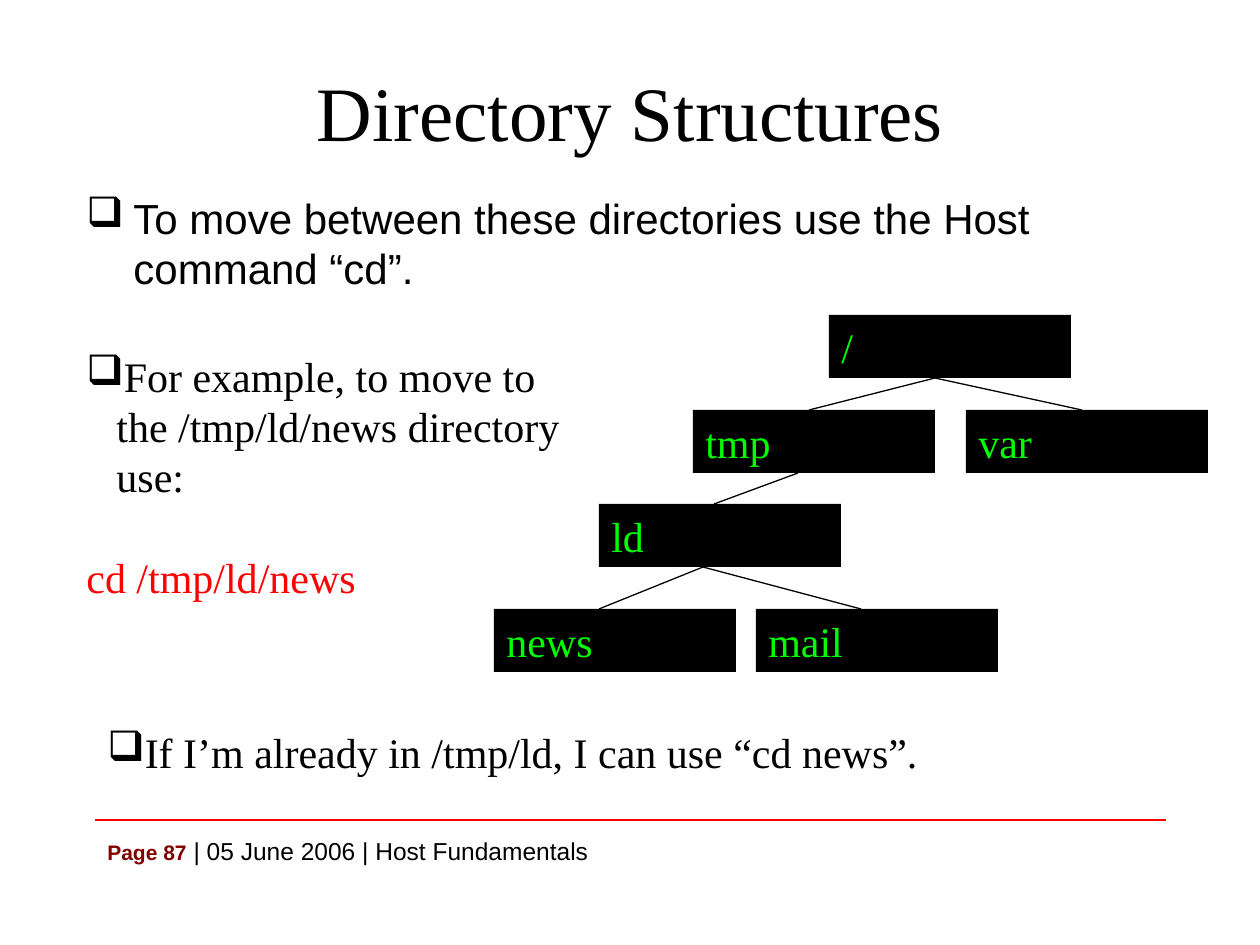
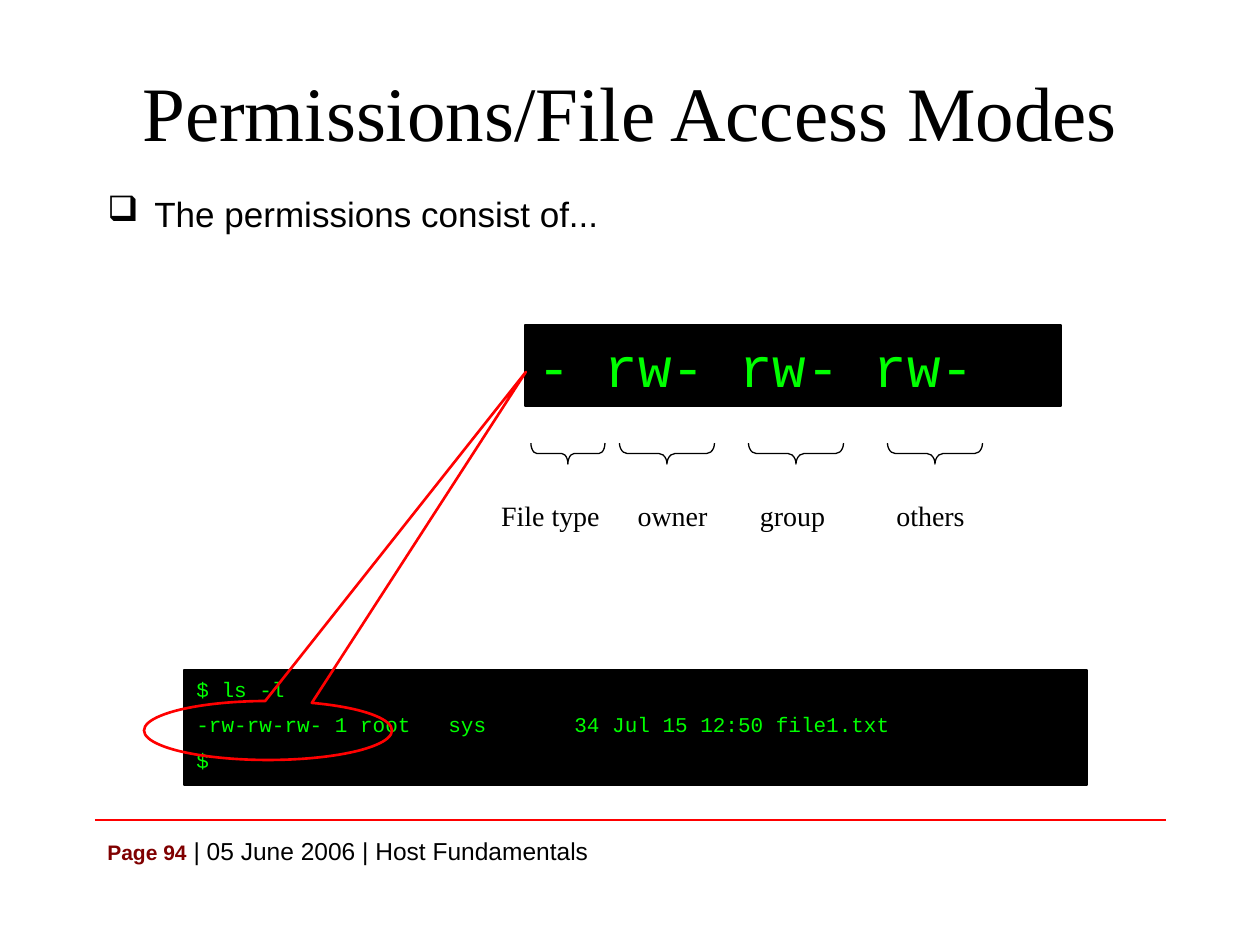
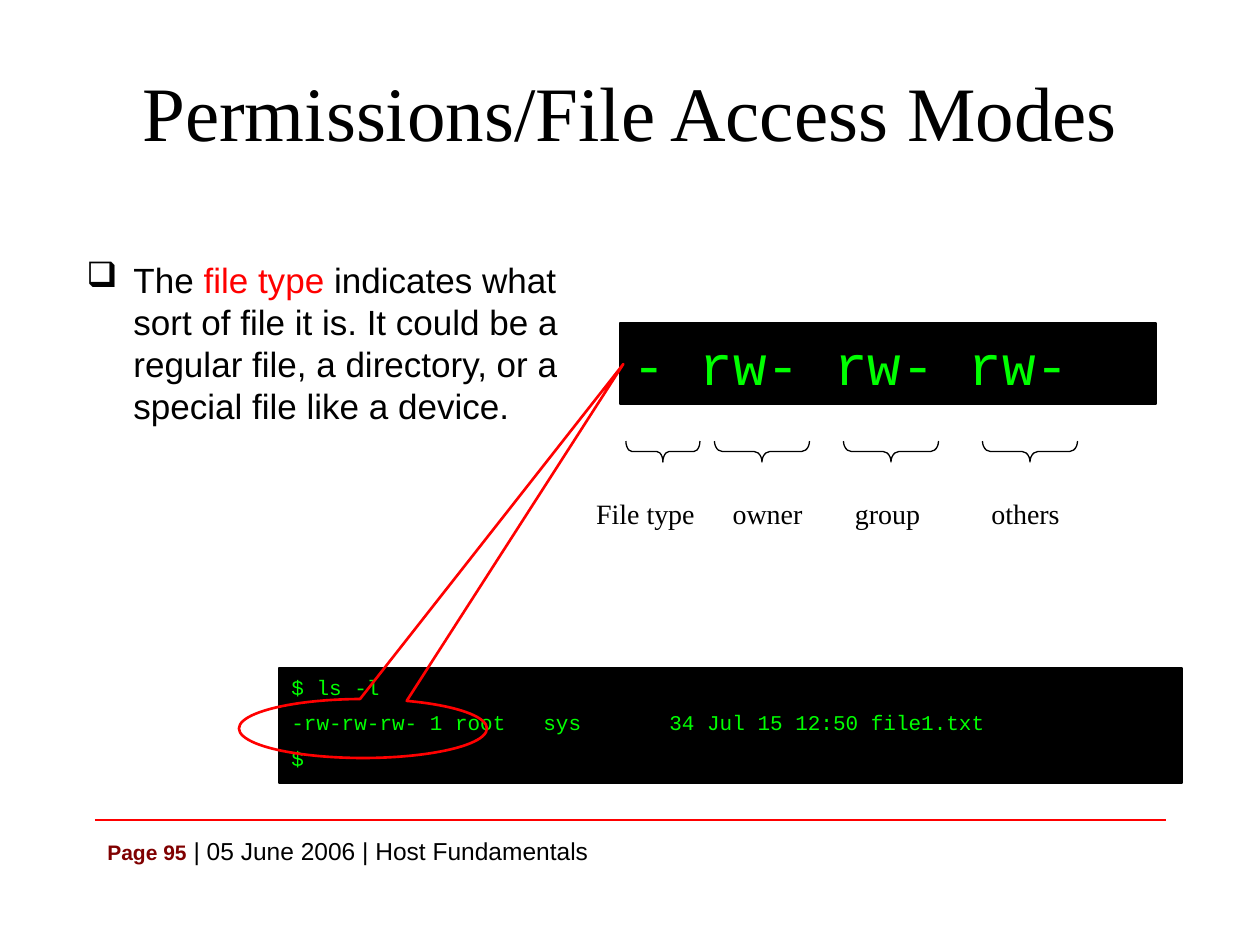
from lxml.etree import SubElement
from pptx import Presentation
from pptx.dml.color import RGBColor
from pptx.enum.shapes import MSO_CONNECTOR, MSO_SHAPE
from pptx.enum.text import MSO_ANCHOR, MSO_AUTO_SIZE, PP_ALIGN
from pptx.oxml import parse_xml
from pptx.oxml.ns import nsdecls, qn
from pptx.util import Emu, Pt

EMU_PER_PX = 914400 / 126
BLACK, RED, MAROON, GREEN = "000000", "FF0000", "800000", "00FF00"
SANS, SERIF, MONO = "Arial", "Times New Roman", "Courier New"
LINE_PITCH = 1.2
TAB_WIDTH = 126

NODE_SIZE = (242, 63)
NODES = [
    ("/", 335, 0),
    ("tmp", 199, 95),
    ("var", 472, 95),
    ("ld", 105, 189),
    ("news", 0, 294),
    ("mail", 262, 294),
]
BRANCHES = [
    (441, 63, 315, 95),
    (441, 63, 588, 95),
    (304, 158, 220, 189),
    (209, 252, 105, 294),
    (209, 252, 367, 294),
]
FIELDS = [
    ("File type", 424, 74, 0.29, 337, 139),
    ("owner", 523, 95, 0.375, 476, 105),
    ("group", 652, 95, 0.375, 596, 105),
    ("others", 791, 95, 0.375, 734, 105),
]
LISTING = ["$ ls -l", "-rw-rw-rw- 1 root\tsys\t34 Jul 15 12:50 file1.txt", "$"]


def px(length):
    """Turn a length in px into EMU."""
    return Emu(round(length * EMU_PER_PX))


def color(value):
    """Turn a hex string into a colour."""
    return RGBColor.from_string(value)


def style_font(font, name, size, hex_color):
    """Set the typeface, size and colour of a font."""
    font.name = name
    font.size = Pt(size)
    font.color.rgb = color(hex_color)


def space_before_percent(paragraph, percent):
    """Set the space before a paragraph as a share of its line."""
    spacing = parse_xml(
        f'<a:spcBef {nsdecls("a")}><a:spcPct val="{percent * 1000}"/></a:spcBef>'
    )
    paragraph._p.get_or_add_pPr().insert(0, spacing)


def add_tab_stops(paragraph, count):
    """Add evenly spaced left tab stops to a paragraph."""
    tab_list = SubElement(paragraph._p.get_or_add_pPr(), qn("a:tabLst"))
    for number in range(1, count + 1):
        stop = SubElement(tab_list, qn("a:tab"))
        stop.set("pos", str(px(number * TAB_WIDTH)))
        stop.set("algn", "l")


def add_bullet(paragraph, hanging):
    """Give a paragraph a box bullet with a hanging indent."""
    properties = paragraph._p.get_or_add_pPr()
    properties.set("marL", str(px(hanging)))
    properties.set("indent", str(-px(hanging)))
    SubElement(properties, qn("a:buChar")).set("char", "❑")


def add_text_box(slide, left, top, width, height):
    """Add a wrapping text box and return its text frame."""
    text_frame = slide.shapes.add_textbox(
        px(left), px(top), px(width), px(height)
    ).text_frame
    text_frame.word_wrap = True
    return text_frame


def add_plain_shape(slide, kind, left, top, width, height, line=None, weight=0.75):
    """Add an unfilled preset shape without a shadow."""
    shape = slide.shapes.add_shape(kind, px(left), px(top), px(width), px(height))
    shape.shadow.inherit = False
    shape.fill.background()
    if line:
        shape.line.color.rgb = color(line)
        shape.line.width = Pt(weight)
    else:
        shape.line.fill.background()
    return shape


def add_line(slide, start_x, start_y, end_x, end_y, hex_color, weight):
    """Add a straight connector without a shadow."""
    connector = slide.shapes.add_connector(
        MSO_CONNECTOR.STRAIGHT, px(start_x), px(start_y), px(end_x), px(end_y)
    )
    connector.line.color.rgb = color(hex_color)
    connector.line.width = Pt(weight)
    SubElement(connector._element.spPr, qn("a:effectLst"))


def fill_text(text_frame, lines, name, size, hex_color, alignment):
    """Write evenly spaced lines into a frame that grows with its text."""
    text_frame.word_wrap = True
    text_frame.vertical_anchor = MSO_ANCHOR.TOP
    text_frame.auto_size = MSO_AUTO_SIZE.SHAPE_TO_FIT_TEXT
    for index, line in enumerate(lines):
        paragraph = text_frame.add_paragraph() if index else text_frame.paragraphs[0]
        space_before_percent(paragraph, 50)
        if "\t" in line:
            add_tab_stops(paragraph, 3)
        paragraph.alignment = alignment
        paragraph.add_run().text = line
        style_font(paragraph.font, name, size, hex_color)


def add_screen(slide, box, lines, name, size, line=None):
    """Add a black panel with green text."""
    panel = add_plain_shape(slide, MSO_SHAPE.RECTANGLE, *box, line=line)
    panel.fill.solid()
    panel.fill.fore_color.rgb = color(BLACK)
    fill_text(panel.text_frame, lines, name, size, GREEN, PP_ALIGN.LEFT)


def add_bullet_text(slide, box, runs, name, size, hanging, percent=0):
    """Add a bulleted paragraph made of text and colour pairs."""
    text_frame = add_text_box(slide, *box)
    paragraph = text_frame.paragraphs[0]
    if percent:
        space_before_percent(paragraph, percent)
    add_bullet(paragraph, hanging)
    paragraph.line_spacing = Pt(size * LINE_PITCH)
    style_font(paragraph.font, name, size, BLACK)
    for text, hex_color in runs:
        run = paragraph.add_run()
        run.text = text
        if hex_color != BLACK:
            run.font.color.rgb = color(hex_color)
    return text_frame


def add_footer(slide, page):
    """Add the red rule and the page line."""
    add_line(slide, 95, 820, 1166, 820, RED, 1.5)
    paragraph = add_text_box(slide, 95, 830, 1071, 69).paragraphs[0]
    page_run = paragraph.add_run()
    page_run.text = f"Page {page}"
    style_font(page_run.font, SANS, 12, MAROON)
    page_run.font.bold = True
    course_run = paragraph.add_run()
    course_run.text = " | 05 June 2006 | Host Fundamentals"
    style_font(course_run.font, SANS, 14, BLACK)


def add_base_slide(presentation, title, page):
    """Add a slide with its footer and centred title."""
    slide = presentation.slides.add_slide(presentation.slide_layouts[6])
    add_footer(slide, page)
    text_frame = add_text_box(slide, 95, 65, 1071, 91)
    text_frame.vertical_anchor = MSO_ANCHOR.MIDDLE
    paragraph = text_frame.paragraphs[0]
    paragraph.alignment = PP_ALIGN.CENTER
    paragraph.add_run().text = title
    style_font(paragraph.font, SERIF, 44, BLACK)
    return slide


def add_directory_tree(slide, left, top):
    """Draw the directory tree from its top left corner."""
    for start_x, start_y, end_x, end_y in BRANCHES:
        add_line(
            slide, left + start_x, top + start_y, left + end_x, top + end_y, BLACK, 0.75
        )
    for name, x, y in NODES:
        add_screen(slide, (left + x, top + y, *NODE_SIZE), [name], SERIF, 24)


def add_field(slide, left, top, field):
    """Add the brace and label of one permission field."""
    name, center, span, curve, label_left, label_width = field
    depth = 21
    brace = add_plain_shape(
        slide,
        MSO_SHAPE.LEFT_BRACE,
        left + center - depth / 2,
        top + 118 + (depth - span) / 2,
        depth,
        span,
        line=BLACK,
    )
    brace.rotation = 270
    brace.adjustments[0] = curve
    brace.adjustments[1] = 0.5
    label = add_text_box(slide, left + label_left, top + 167, label_width, 47)
    fill_text(label, [name], SERIF, 16, BLACK, PP_ALIGN.CENTER)


def add_permission_diagram(slide, left, top, tip):
    """Draw the listing, the enlarged mode and its fields."""
    add_screen(slide, (left + 40, top + 345, 903, 115), LISTING, MONO, 12, BLACK)
    add_screen(slide, (left + 381, top, 536, 81), ["- rw- rw- rw-"], MONO, 32, BLACK)
    for field in FIELDS:
        add_field(slide, left, top, field)
    callout = add_plain_shape(
        slide, MSO_SHAPE.OVAL_CALLOUT, left, top + 376, 248, 59, line=RED, weight=1.5
    )
    callout.adjustments[0], callout.adjustments[1] = tip


def build_directory_slide(presentation):
    """Build the slide on moving between directories."""
    slide = add_base_slide(presentation, "Directory Structures", 87)
    move = "To move between these directories use the Host command “cd”."
    add_bullet_text(slide, (74, 186, 1101, 147), [(move, BLACK)], SANS, 24, 47, 20)
    example = "For example, to move to the /tmp/ld/news directory use:"
    text_frame = add_bullet_text(
        slide, (74, 344, 525, 287), [(example, BLACK)], SERIF, 24, 30
    )
    command = text_frame.add_paragraph()
    command.add_run().text = "cd /tmp/ld/news"
    command.line_spacing = command.space_before = Pt(24 * LINE_PITCH)
    style_font(command.font, SERIF, 24, RED)
    shortcut = "If I’m already in /tmp/ld, I can use “cd news”."
    add_bullet_text(slide, (95, 720, 1002, 89), [(shortcut, BLACK)], SERIF, 24, 30)
    add_directory_tree(slide, 494, 315)


def build_permission_slide(presentation, page, body_box, runs, origin, tip):
    """Build a slide on file access modes."""
    slide = add_base_slide(presentation, "Permissions/File Access Modes", page)
    add_bullet_text(slide, body_box, runs, SANS, 20, 47, 20)
    add_permission_diagram(slide, *origin, tip)


def main():
    """Build and save the presentation."""
    presentation = Presentation()
    presentation.slide_width = px(1260)
    presentation.slide_height = px(945)
    build_directory_slide(presentation)
    build_permission_slide(
        presentation,
        94,
        (95, 186, 525, 243),
        [("The permissions consist of...", BLACK)],
        (144, 325),
        (1.04, -6.08),
    )
    build_permission_slide(
        presentation,
        95,
        (74, 252, 525, 221),
        [
            ("The ", BLACK),
            ("file type", RED),
            (
                " indicates what sort of file it is. It could be a regular file, "
                "a directory, or a special file like a device.",
                BLACK,
            ),
        ],
        (239, 323),
        (1.05, -6.18),
    )
    presentation.save("out.pptx")


if __name__ == "__main__":
    main()
